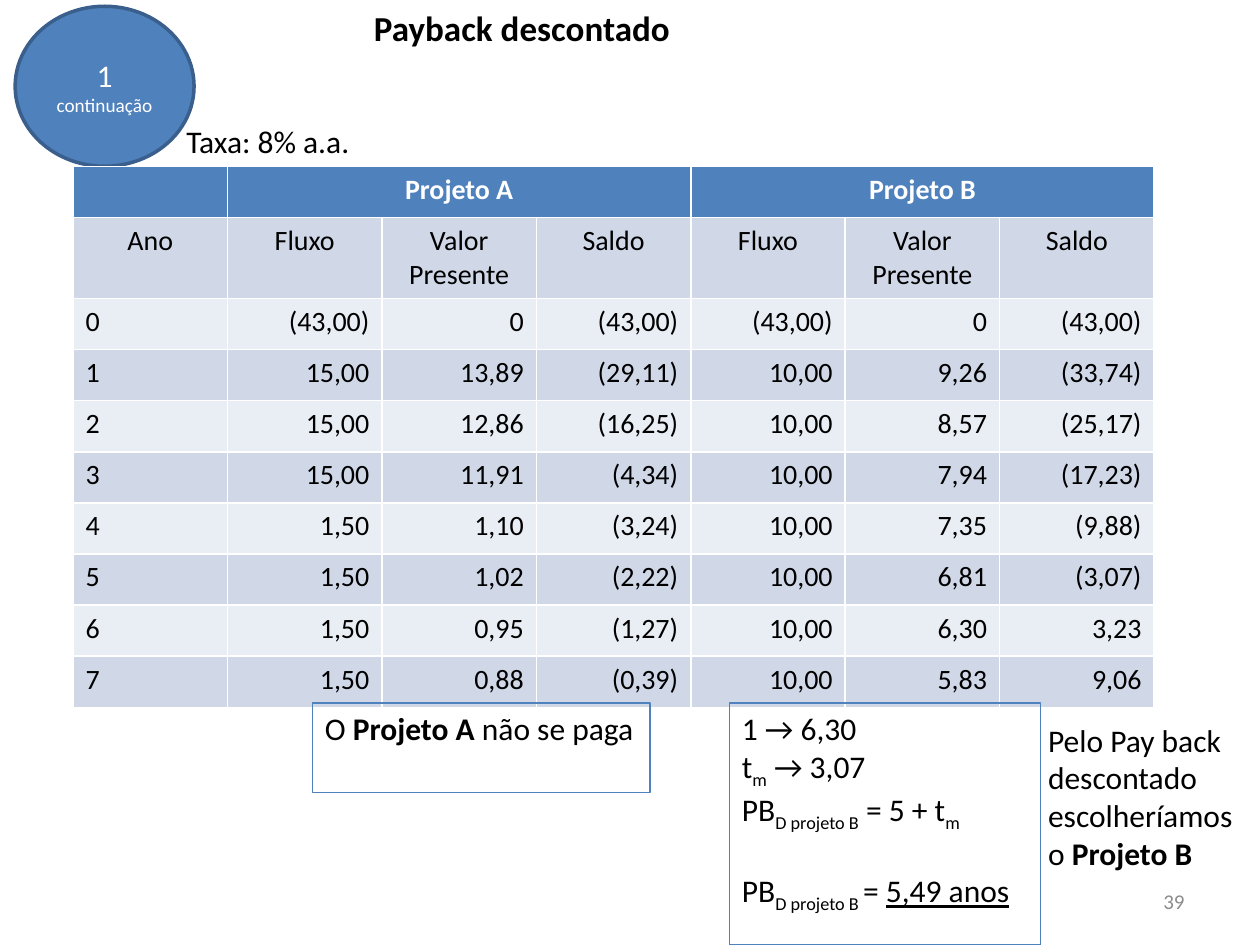
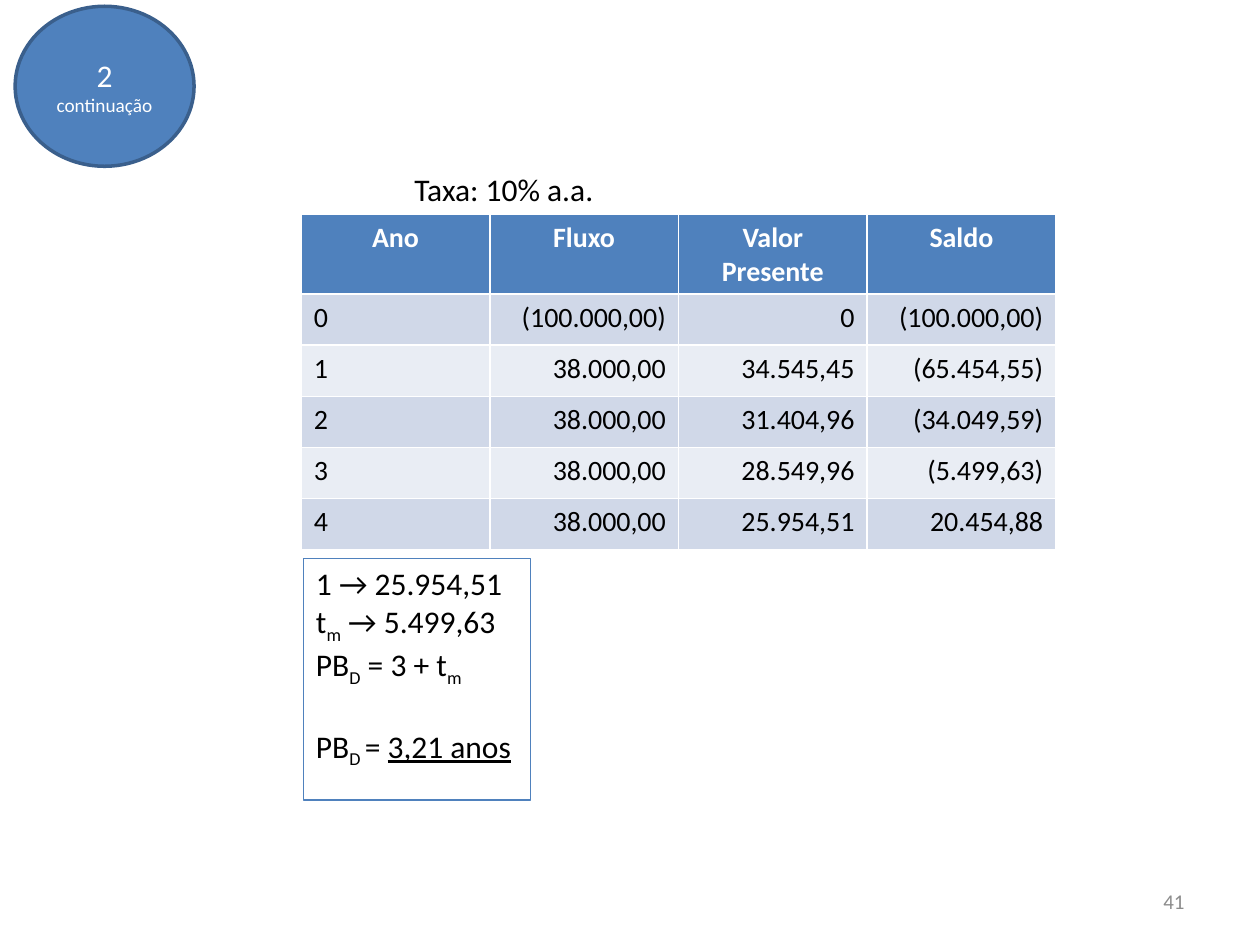
from dataclasses import dataclass

from pptx import Presentation
from pptx.dml.color import RGBColor
from pptx.enum.shapes import MSO_SHAPE
from pptx.enum.text import MSO_ANCHOR, PP_ALIGN
from pptx.presentation import Presentation as Deck
from pptx.slide import Slide
from pptx.text.text import TextFrame
from pptx.util import Inches, Pt

ELLIPSE, RECTANGLE = MSO_SHAPE.OVAL, MSO_SHAPE.RECTANGLE
LEFT, CENTER, RIGHT = PP_ALIGN.LEFT, PP_ALIGN.CENTER, PP_ALIGN.RIGHT
TOP, MIDDLE = MSO_ANCHOR.TOP, MSO_ANCHOR.MIDDLE


@dataclass(frozen=True)
class Theme:
    font: str = "Calibri"
    blue: RGBColor = RGBColor(0x4F, 0x81, 0xBD)
    blue_edge: RGBColor = RGBColor(0x3A, 0x5F, 0x8C)
    dark_band: RGBColor = RGBColor(0xD0, 0xD8, 0xE8)
    light_band: RGBColor = RGBColor(0xE9, 0xED, 0xF4)
    white: RGBColor = RGBColor(0xFF, 0xFF, 0xFF)
    black: RGBColor = RGBColor(0x00, 0x00, 0x00)
    gray: RGBColor = RGBColor(0x8C, 0x8C, 0x8C)
    title_size: int = 20
    body_size: int = 18
    table_size: int = 16
    page_size: int = 12
    caption_size: int = 11
    subscript: str = "-25000"


THEME = Theme()


@dataclass(frozen=True)
class Box:
    left: float
    top: float
    width: float
    height: float

    def lengths(self) -> tuple[int, int, int, int]:
        return (Inches(self.left), Inches(self.top),
                Inches(self.width), Inches(self.height))


@dataclass(frozen=True)
class Run:
    text: str
    bold: bool = False
    underline: bool = False
    subscript: bool = False


@dataclass(frozen=True)
class Line:
    runs: tuple[Run, ...]
    size: int = THEME.body_size
    color: RGBColor = THEME.black
    align: PP_ALIGN = LEFT
    bold: bool = False
    space_before: int = 0


@dataclass(frozen=True)
class CashFlow:
    box: Box
    rows: tuple[tuple[str, ...], ...]
    label_row: int
    spans: tuple[tuple[int, int], ...] = ()


BADGE_BOX = Box(0.12, 0.05, 1.42, 1.27)
PAGE_BOX = Box(7.17, 6.95, 2.33, 0.4)
LABEL_ROW_HEIGHT = 0.63
BLANK_LINE = 22
HEADINGS = ("Fluxo", "Valor Presente", "Saldo")

PROJECTS = CashFlow(
    Box(0.58, 1.32, 8.58, 4.28),
    (
        ("", "Projeto A", "", "", "Projeto B", "", ""),
        ("Ano", *HEADINGS, *HEADINGS),
        ("0", "(43,00)", "0", "(43,00)", "(43,00)", "0", "(43,00)"),
        ("1", "15,00", "13,89", "(29,11)", "10,00", "9,26", "(33,74)"),
        ("2", "15,00", "12,86", "(16,25)", "10,00", "8,57", "(25,17)"),
        ("3", "15,00", "11,91", "(4,34)", "10,00", "7,94", "(17,23)"),
        ("4", "1,50", "1,10", "(3,24)", "10,00", "7,35", "(9,88)"),
        ("5", "1,50", "1,02", "(2,22)", "10,00", "6,81", "(3,07)"),
        ("6", "1,50", "0,95", "(1,27)", "10,00", "6,30", "3,23"),
        ("7", "1,50", "0,88", "(0,39)", "10,00", "5,83", "9,06"),
    ),
    label_row=1,
    spans=((1, 3), (4, 6)),
)

SINGLE_PROJECT = CashFlow(
    Box(2.39, 1.7, 5.99, 2.66),
    (
        ("Ano", *HEADINGS),
        ("0", "(100.000,00)", "0", "(100.000,00)"),
        ("1", "38.000,00", "34.545,45", "(65.454,55)"),
        ("2", "38.000,00", "31.404,96", "(34.049,59)"),
        ("3", "38.000,00", "28.549,96", "(5.499,63)"),
        ("4", "38.000,00", "25.954,51", "20.454,88"),
    ),
    label_row=0,
)


def write_lines(frame: TextFrame, lines: tuple[Line, ...],
                anchor: MSO_ANCHOR = TOP) -> None:
    frame.word_wrap = True
    frame.vertical_anchor = anchor
    for index, line in enumerate(lines):
        paragraph = frame.add_paragraph() if index else frame.paragraphs[0]
        paragraph.alignment = line.align
        if line.space_before:
            paragraph.space_before = Pt(line.space_before)
        font = paragraph.font
        font.name = THEME.font
        font.size = Pt(line.size)
        font.color.rgb = line.color
        font.bold = line.bold
        for part in line.runs:
            run = paragraph.add_run()
            run.text = part.text
            if part.bold:
                run.font.bold = True
            if part.underline:
                run.font.underline = True
            if part.subscript:
                run.font._element.set("baseline", THEME.subscript)


def add_text(slide: Slide, box: Box, *lines: Line,
             anchor: MSO_ANCHOR = TOP) -> None:
    label = slide.shapes.add_textbox(*box.lengths())
    write_lines(label.text_frame, lines, anchor)


def add_framed_text(slide: Slide, box: Box, *lines: Line) -> None:
    frame = slide.shapes.add_shape(RECTANGLE, *box.lengths())
    frame.shadow.inherit = False
    frame.fill.background()
    frame.line.color.rgb = THEME.blue
    frame.line.width = Pt(0.75)
    write_lines(frame.text_frame, lines)


def add_badge(slide: Slide, number: str) -> None:
    badge = slide.shapes.add_shape(ELLIPSE, *BADGE_BOX.lengths())
    badge.shadow.inherit = False
    badge.fill.solid()
    badge.fill.fore_color.rgb = THEME.blue
    badge.line.color.rgb = THEME.blue_edge
    badge.line.width = Pt(2)
    write_lines(badge.text_frame, (
        Line((Run(number),), color=THEME.white, align=CENTER),
        Line((Run("continuação"),), THEME.caption_size, THEME.white, CENTER),
    ), MIDDLE)


def add_page_number(slide: Slide, number: str) -> None:
    add_text(slide, PAGE_BOX,
             Line((Run(number),), THEME.page_size, THEME.gray, RIGHT),
             anchor=MIDDLE)


def add_cash_flow(slide: Slide, flow: CashFlow) -> None:
    row_count, column_count = len(flow.rows), len(flow.rows[0])
    table = slide.shapes.add_table(row_count, column_count,
                                   *flow.box.lengths()).table
    row_height = (flow.box.height - LABEL_ROW_HEIGHT) / (row_count - 1)
    for column in table.columns:
        column.width = Inches(flow.box.width / column_count)
    for first, last in flow.spans:
        table.cell(0, first).merge(table.cell(0, last))
    for r, values in enumerate(flow.rows):
        table.rows[r].height = Inches(
            LABEL_ROW_HEIGHT if r == flow.label_row else row_height)
        is_header = r == 0
        band = THEME.dark_band if r % 2 else THEME.light_band
        for c, value in enumerate(values):
            cell = table.cell(r, c)
            cell.fill.solid()
            cell.fill.fore_color.rgb = THEME.blue if is_header else band
            if r <= flow.label_row:
                align = CENTER
            else:
                align = RIGHT if c else LEFT
            write_lines(cell.text_frame, (Line(
                (Run(value),) if value else (), THEME.table_size,
                THEME.white if is_header else THEME.black,
                align, is_header),))


def add_payback(slide: Slide, box: Box, present_value: str, balance: str,
                whole_years: str, result: str, project: str = "") -> None:
    t_m = (Run("t"), Run("m", subscript=True))
    index = f"D {project}".rstrip()
    add_framed_text(
        slide, box,
        Line((Run(f"1 → {present_value}"),)),
        Line((*t_m, Run(f" → {balance}"))),
        Line((Run("PB"), Run(index, subscript=True),
              Run(f" = {whole_years} + t"), t_m[1])),
        Line((Run("PB"), Run(f"{index} ", subscript=True), Run("= "),
              Run(result, underline=True)), space_before=BLANK_LINE),
    )


def build_project_comparison(deck: Deck) -> None:
    slide = deck.slides.add_slide(deck.slide_layouts[6])
    add_badge(slide, "1")
    add_cash_flow(slide, PROJECTS)
    add_text(slide, Box(2.87, 0, 2.6, 0.44),
             Line((Run("Payback descontado"),), THEME.title_size, bold=True))
    add_text(slide, Box(1.38, 0.92, 1.51, 0.4), Line((Run("Taxa: 8% a.a."),)))
    add_framed_text(slide, Box(2.48, 5.58, 2.68, 0.71),
                    Line((Run("O "), Run("Projeto A ", bold=True),
                          Run("não se paga"))))
    add_payback(slide, Box(5.79, 5.58, 2.47, 1.92),
                "6,30", "3,07", "5", "5,49 anos", "projeto B")
    add_text(slide, Box(8.22, 5.67, 1.7, 1.31),
             Line((Run("Pelo Pay back descontado escolheríamos o "),
                   Run("Projeto B", bold=True))))
    add_page_number(slide, "39")


def build_single_project(deck: Deck) -> None:
    slide = deck.slides.add_slide(deck.slide_layouts[6])
    add_cash_flow(slide, SINGLE_PROJECT)
    add_text(slide, Box(3.19, 1.3, 1.64, 0.4), Line((Run("Taxa: 10% a.a."),)))
    add_payback(slide, Box(2.41, 4.43, 1.8, 1.92),
                "25.954,51", "5.499,63", "3", "3,21 anos")
    add_badge(slide, "2")
    add_page_number(slide, "41")


def main() -> None:
    deck = Presentation()
    deck.slide_width = Inches(10)
    deck.slide_height = Inches(7.5)
    build_project_comparison(deck)
    build_single_project(deck)
    deck.save("out.pptx")


if __name__ == "__main__":
    main()
